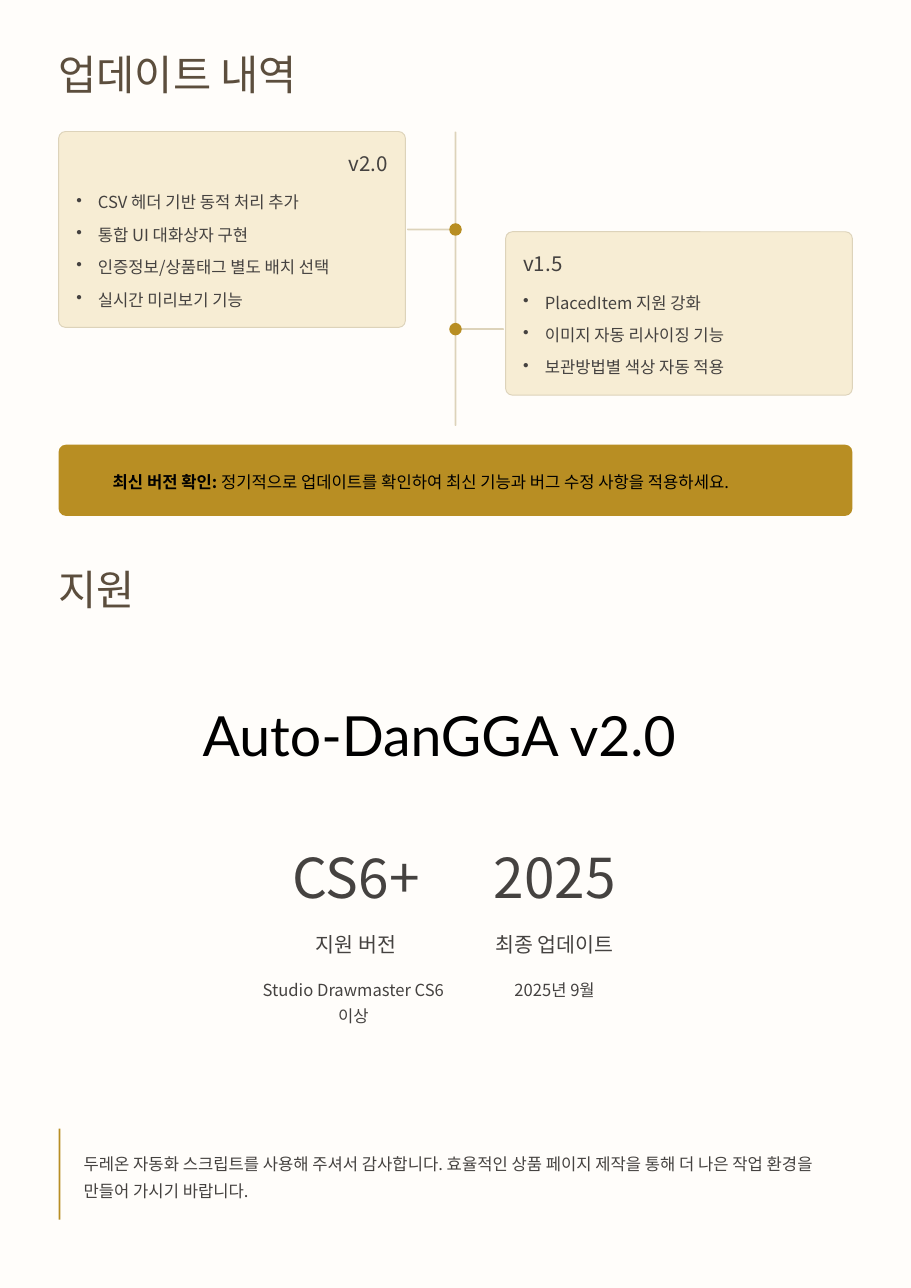
"""Builds the update history and support page on a grid of 16 columns with square rows."""
from dataclasses import dataclass

from lxml import etree
from pptx import Presentation
from pptx import util as u
from pptx.dml.color import RGBColor
from pptx.enum import shapes, text
from pptx.oxml.ns import qn

COLUMNS, ROWS = 16, 22.62
CELL = u.Inches(1)
MARGIN, CONTENT = 1.03, 13.94
AXIS, HAIR, DOT = 8, 0.03, 0.22
CARD_WIDTH, CARD_PAD, BULLET_STEP = 6.09, 0.31, 0.57
LEFT, CENTER, RIGHT = text.PP_ALIGN.LEFT, text.PP_ALIGN.CENTER, text.PP_ALIGN.RIGHT
RECT, ROUND = shapes.MSO_SHAPE.RECTANGLE, shapes.MSO_SHAPE.ROUNDED_RECTANGLE


@dataclass(frozen=True)
class Style:
    size: float
    leading: float | None
    color: str
    font: str = "Noto Sans CJK KR"


@dataclass(frozen=True)
class Theme:
    paper: str = "FFFDFA"
    cream: str = "F7EDD4"
    rule: str = "DDD3BA"
    gold: str = "B88E23"
    heading: Style = Style(52.5, 66, "5C4E3D")
    label: Style = Style(26, 33, "454240")
    body: Style = Style(21, 33.5, "454240")
    notice: Style = Style(21, 33.5, "000000")
    figure: Style = Style(69.5, 69.5, "454240")
    product: Style = Style(70, None, "000000", "Lato")


@dataclass(frozen=True)
class Area:
    column: float
    row: float
    width: float
    height: float

    def lengths(self) -> list[int]:
        return [round(n * CELL) for n in (self.column, self.row, self.width, self.height)]


@dataclass(frozen=True)
class Release:
    version: str
    changes: tuple[str, ...]
    column: float
    row: float
    height: float
    align: text.PP_ALIGN
    branch: float
    dot_row: float


@dataclass(frozen=True)
class Fact:
    figure: str
    label: str
    detail: str
    column: float
    detail_area: Area


THEME = Theme()
RELEASES = (
    Release("v2.0", ("CSV 헤더 기반 동적 처리 추가", "통합 UI 대화상자 구현",
                     "인증정보/상품태그 별도 배치 선택", "실시간 미리보기 기능"),
            MARGIN, 2.31, 3.44, RIGHT, 7.15, 4.03),
    Release("v1.5", ("PlacedItem 지원 강화", "이미지 자동 리사이징 기능",
                     "보관방법별 색상 자동 적용"),
            8.88, 4.07, 2.87, LEFT, 7.97, 5.78),
)
FACTS = (
    Fact("CS6+", "지원 버전", "Studio Drawmaster CS6 이상", 4.69, Area(4.42, 17.09, 3.57, 0.94)),
    Fact("2025", "최종 업데이트", "2025년 9월", 8.18, Area(8.18, 17.09, 3.12, 0.47)),
)


def add_block(page, area: Area, fill: str, kind=ROUND, corner: float = 0.5, line: str | None = None):
    """Draws a filled block with an optional outline."""
    block = page.shapes.add_shape(kind, *area.lengths())
    block.shadow.inherit = False
    block.fill.solid()
    block.fill.fore_color.rgb = RGBColor.from_string(fill)
    if kind == ROUND:
        block.adjustments[0] = corner
    if line:
        block.line.color.rgb = RGBColor.from_string(line)
        block.line.width = u.Pt(1.2)
    else:
        block.line.fill.background()
    return block


def add_text(page, area: Area, style: Style, *runs: tuple[str, bool], align=LEFT,
             wrap: bool = False, bullet: bool = False, inset: bool = False):
    """Writes one paragraph, run by run, in a text box."""
    box = page.shapes.add_textbox(*area.lengths())
    frame = box.text_frame
    frame.word_wrap = wrap
    if inset:
        frame.auto_size = text.MSO_AUTO_SIZE.SHAPE_TO_FIT_TEXT
    else:
        frame.margin_left = frame.margin_right = frame.margin_top = frame.margin_bottom = 0
    para = frame.paragraphs[0]
    para.alignment = align
    if style.leading:
        para.line_spacing = u.Pt(style.leading)
    if bullet:
        properties = para._p.get_or_add_pPr()
        indent = round(0.38 * CELL)
        properties.set("marL", str(indent))
        properties.set("indent", str(-indent))
        etree.SubElement(properties, qn("a:buChar"), char="•")
    for words, bold in runs:
        span = para.add_run()
        span.text = words
        span.font.size = u.Pt(style.size)
        span.font.bold = bold
        span.font.name = style.font
        span.font.color.rgb = RGBColor.from_string(style.color)
        etree.SubElement(span._r.get_or_add_rPr(), qn("a:ea"), typeface=style.font)
    return box


def add_release(page, release: Release) -> None:
    """Draws a release card with its branch and dot on the timeline."""
    add_block(page, Area(release.branch, release.dot_row - HAIR / 2, 0.88, HAIR), THEME.rule)
    add_block(page, Area(AXIS - DOT / 2, release.dot_row - DOT / 2, DOT, DOT), THEME.gold)
    add_block(page, Area(release.column, release.row, CARD_WIDTH, release.height),
              THEME.cream, corner=0.12 / release.height, line=THEME.rule)
    left, inner = release.column + CARD_PAD, CARD_WIDTH - 2 * CARD_PAD
    label_width = 3.67
    label_left = left + inner - label_width if release.align == RIGHT else left
    add_text(page, Area(label_left, release.row + CARD_PAD, label_width, 0.46), THEME.label,
             (release.version, False), align=release.align)
    for index, change in enumerate(release.changes):
        row = release.row + 0.95 + index * BULLET_STEP
        add_text(page, Area(left, row, inner, 0.47), THEME.body, (change, False), bullet=True)


def add_fact(page, fact: Fact) -> None:
    """Stacks a large figure, its label and its detail."""
    add_text(page, Area(fact.column, 15, 3.12, 0.97), THEME.figure, (fact.figure, False), align=CENTER)
    add_text(page, Area(fact.column, 16.34, 3.12, 0.46), THEME.label, (fact.label, False), align=CENTER)
    add_text(page, fact.detail_area, THEME.body, (fact.detail, False), align=CENTER,
             wrap=fact.detail_area.height > 0.5)


def main() -> None:
    """Builds and saves the deck."""
    deck = Presentation()
    deck.slide_width, deck.slide_height = round(COLUMNS * CELL), round(ROWS * CELL)
    page = deck.slides.add_slide(deck.slide_layouts[6])
    page.background.fill.solid()
    page.background.fill.fore_color.rgb = RGBColor.from_string(THEME.paper)

    for heading, row in (("업데이트 내역", 0.81), ("지원", 9.86)):
        add_text(page, Area(MARGIN, row, 7.34, 0.92), THEME.heading, (heading, False))

    add_block(page, Area(AXIS - HAIR / 2, 2.31, HAIR, 5.17), THEME.rule)
    for release in RELEASES:
        add_release(page, release)

    add_block(page, Area(MARGIN, 7.81, CONTENT, 1.25), THEME.gold, corner=0.1)
    add_text(page, Area(1.98, 8.18, 12.7, 0.47), THEME.notice, ("최신 버전 확인:", True),
             (" 정기적으로 업데이트를 확인하여 최신 기능과 버그 수정 사항을 적용하세요.", False))

    add_text(page, Area(3.46, 12.26, 9.12, 1.28), THEME.product, ("Auto-DanGGA v2.0", False), inset=True)
    for fact in FACTS:
        add_fact(page, fact)

    add_block(page, Area(MARGIN, 19.82, HAIR, 1.6), THEME.gold, kind=RECT)
    add_text(page, Area(1.47, 20.15, 13.5, 0.94), THEME.body,
             ("두레온 자동화 스크립트를 사용해 주셔서 감사합니다. 효율적인 상품 페이지 제작을 통해 "
              "더 나은 작업 환경을 만들어 가시기 바랍니다.", False), wrap=True)
    deck.save("out.pptx")


if __name__ == "__main__":
    main()
